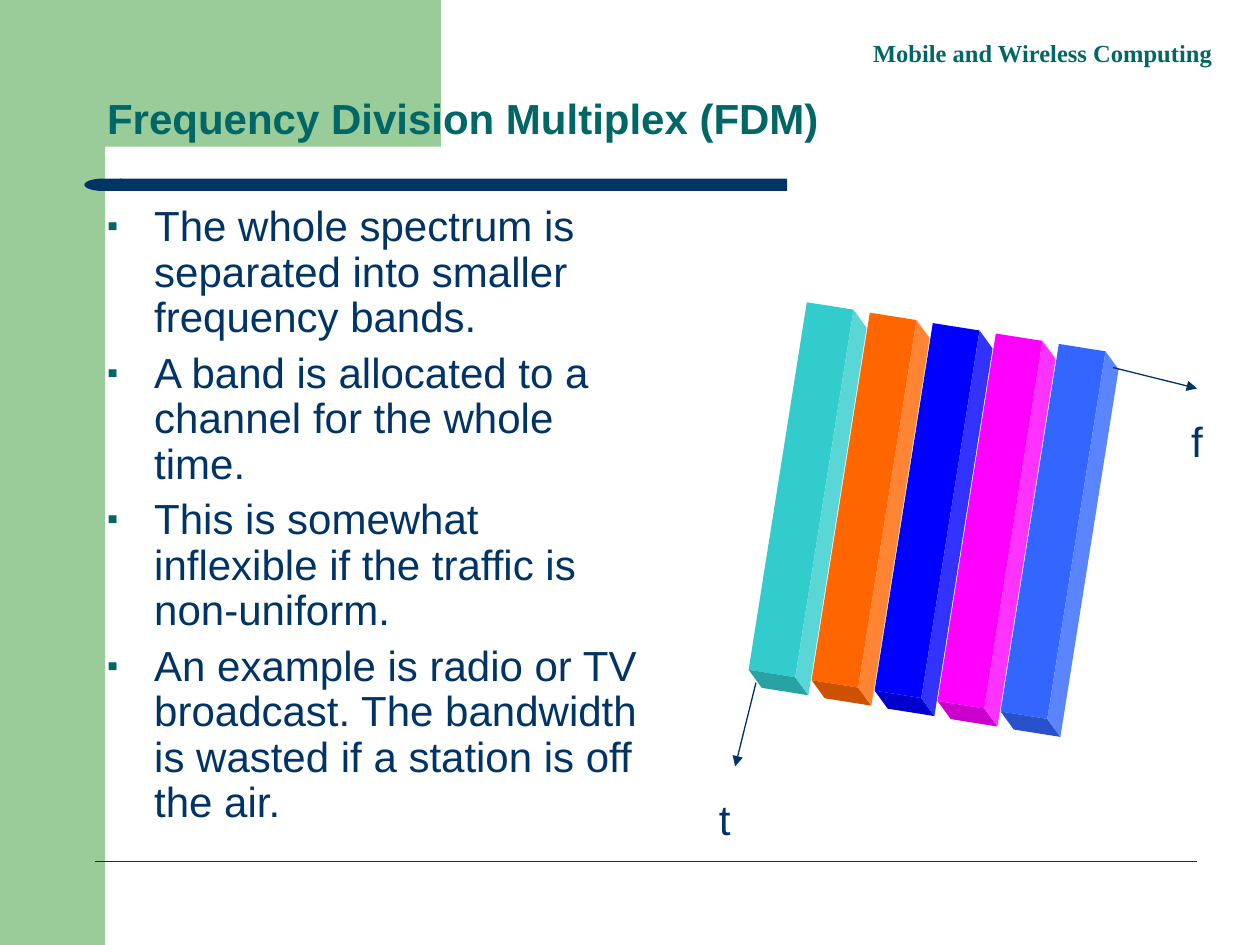
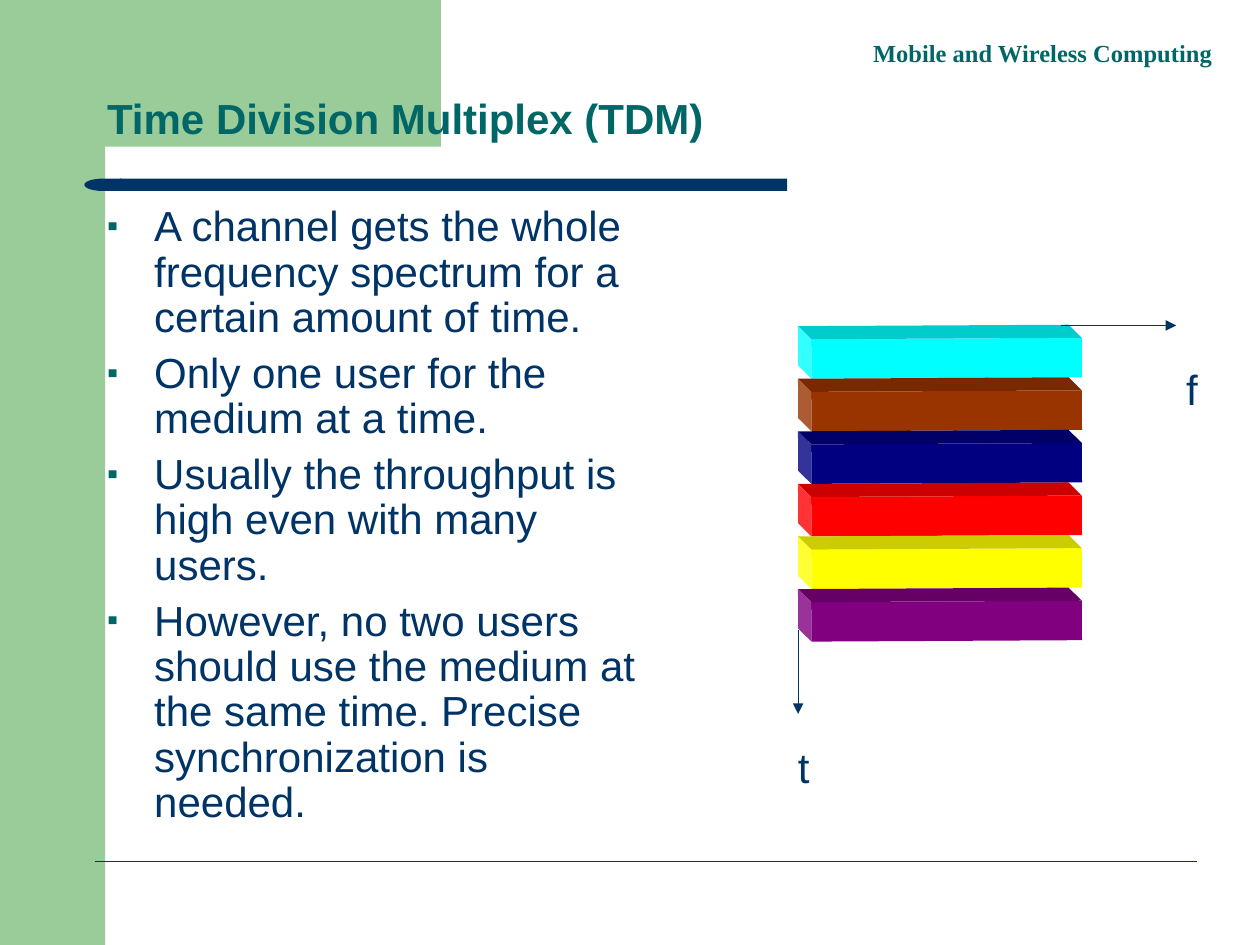
from dataclasses import dataclass

from lxml import etree
from pptx import Presentation
from pptx import util as u
from pptx.dml.color import RGBColor
from pptx.enum import shapes, text
from pptx.oxml import ns

# Content: wording, then the geometry of each diagram in centimetres
COURSE = "Mobile and Wireless Computing"
SLIDES = [
    dict(
        title="Frequency Division Multiplex (FDM)",
        points=[
            "The whole spectrum is separated into smaller frequency bands.",
            "A band is allocated to a channel for the whole time.",
            "This is somewhat inflexible if the traffic is non-uniform.",
            "An example is radio or TV broadcast. The bandwidth is wasted "
            "if a station is off the air.",
        ],
        channels=["33CCCC", "FF6600", "0000FF", "FF00FF", "3366FF"],
        first=(12.37, 9.42), step=(1.27, 0.21), size=(7.82, 1.27), turn=99,
        axes=[(15.24, 13.76, 14.82, 15.45), (22.44, 7.41, 24.13, 7.83)],
        labels=[("t", 14.61, 15.88), ("f", 24.13, 8.26)],
    ),
    dict(
        title="Time Division Multiplex (TDM)",
        points=[
            "A channel gets the whole frequency spectrum for a certain "
            "amount of time.",
            "Only one user for the medium at a time.",
            "Usually the throughput is high even with many users.",
            "However, no two users should use the medium at the same time. "
            "Precise synchronization is needed.",
        ],
        channels=["00FFFF", "993300", "000080", "FF0000", "FFFF00", "800080"],
        first=(18.42, 4.23), step=(0, 1.06), size=(1.06, 5.72), turn=269.7,
        axes=[(16.09, 12.7, 16.09, 14.39), (21.38, 6.56, 23.71, 6.56)],
        labels=[("t", 16.2, 14.82), ("f", 24.03, 7.2)],
    ),
]


@dataclass(frozen=True)
class Theme:
    green: str = "99CC99"
    teal: str = "006666"
    navy: str = "003366"
    sans: str = "Arial"
    serif: str = "Times New Roman"
    body_pt: float = 24
    header_pt: float = 14
    line_pt: float = 0.75


THEME = Theme()
WIDTH, HEIGHT = 25.4, 19.05
LABEL_W, LABEL_H = 1.06, 1.27
BULLET_INDENT = 0.95


def add_solid(s, kind, x, y, w, h, color, turn=0):
    sp = s.shapes.add_shape(kind, u.Cm(x), u.Cm(y), u.Cm(w), u.Cm(h))
    sp.fill.solid()
    sp.fill.fore_color.rgb = RGBColor.from_string(color)
    sp.line.fill.background()
    sp.shadow.inherit = False
    sp.rotation = turn
    return sp


def add_line(s, x1, y1, x2, y2, arrow=False):
    cx = s.shapes.add_connector(shapes.MSO_CONNECTOR.STRAIGHT,
                                u.Cm(x1), u.Cm(y1), u.Cm(x2), u.Cm(y2))
    cx.line.color.rgb = RGBColor.from_string(THEME.navy)
    cx.line.width = u.Pt(THEME.line_pt)
    if arrow:
        ln = cx.line._get_or_add_ln()
        etree.SubElement(ln, ns.qn("a:tailEnd"), type="triangle")
    etree.SubElement(cx._element.spPr, ns.qn("a:effectLst"))


def add_bullet(p):
    pPr = p._p.get_or_add_pPr()
    pPr.set("marL", str(u.Cm(BULLET_INDENT)))
    pPr.set("indent", str(-u.Cm(BULLET_INDENT)))
    color = etree.SubElement(pPr, ns.qn("a:buClr"))
    etree.SubElement(color, ns.qn("a:srgbClr"), val=THEME.teal)
    etree.SubElement(pPr, ns.qn("a:buSzPct"), val="75000")
    etree.SubElement(pPr, ns.qn("a:buFont"), typeface=THEME.sans)
    etree.SubElement(pPr, ns.qn("a:buChar"), char="▪")


def add_text(s, lines, x, y, w, h, color=THEME.navy, font=THEME.sans,
             size=THEME.body_pt, bold=False, align=text.PP_ALIGN.LEFT,
             anchor=text.MSO_ANCHOR.TOP, spacing=None, bullets=False):
    tf = s.shapes.add_textbox(u.Cm(x), u.Cm(y), u.Cm(w), u.Cm(h)).text_frame
    tf.word_wrap = True
    tf.vertical_anchor = anchor
    tf.text = "\n".join(lines)
    for i, p in enumerate(tf.paragraphs):
        p.alignment = align
        p.line_spacing = spacing
        if i:
            p.space_before = u.Pt(6)
        if bullets:
            add_bullet(p)
        for r in p.runs:
            r.font.name, r.font.size, r.font.bold = font, u.Pt(size), bold
            r.font.color.rgb = RGBColor.from_string(color)


def add_frame(s):
    """Green bands, title rule, course name and footer line."""
    kind = shapes.MSO_SHAPE
    add_solid(s, kind.RECTANGLE, 0, 0, 2.12, HEIGHT, THEME.green)
    add_solid(s, kind.RECTANGLE, 1.91, 0, 6.98, 2.96, THEME.green)
    add_solid(s, kind.RECTANGLE, 2.42, 3.6, 13.45, 0.25, THEME.navy)
    add_solid(s, kind.FLOWCHART_DELAY, 1.7, 3.6, 0.75, 0.25, THEME.navy, turn=180)
    add_text(s, [COURSE], 17.35, 0.64, WIDTH - 17.35, 0.86, color=THEME.teal,
             font=THEME.serif, size=THEME.header_pt, bold=True)
    add_line(s, 1.91, 17.36, 24.13, 17.36)


def add_diagram(s, d):
    """Row or stack of channel blocks with its time and frequency axes."""
    (x, y), (dx, dy) = d["first"], d["step"]
    for i, color in enumerate(d["channels"]):
        cube = add_solid(s, shapes.MSO_SHAPE.CUBE, x + i * dx, y + i * dy,
                         *d["size"], color, d["turn"])
        cube.adjustments[0] = 0.25
    for axis in d["axes"]:
        add_line(s, *axis, arrow=True)
    for name, center, top in d["labels"]:
        add_text(s, [name], center - LABEL_W / 2, top, LABEL_W, LABEL_H,
                 align=text.PP_ALIGN.CENTER)


def main():
    prs = Presentation()
    prs.slide_width, prs.slide_height = u.Cm(WIDTH), u.Cm(HEIGHT)
    for d in SLIDES:
        s = prs.slides.add_slide(prs.slide_layouts[6])
        add_frame(s)
        add_text(s, [d["title"]], 1.91, 1.48, 22.86, 1.91, color=THEME.teal,
                 bold=True, anchor=text.MSO_ANCHOR.MIDDLE, spacing=0.9)
        add_text(s, d["points"], 1.91, 4.02, 11.22, 13.76,
                 spacing=0.9, bullets=True)
        add_diagram(s, d)
    prs.save("out.pptx")


if __name__ == "__main__":
    main()
